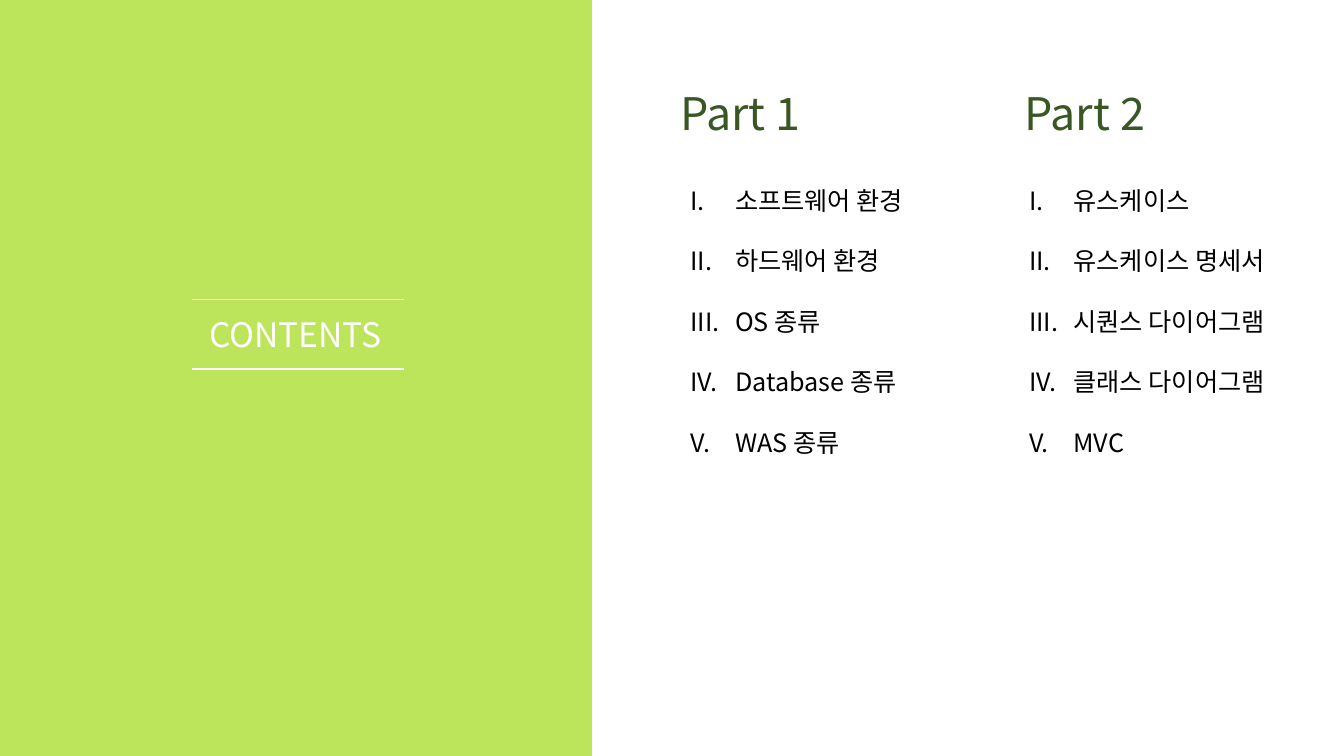
from lxml import etree
from pptx import Presentation
from pptx import util as u
from pptx.dml.color import RGBColor
from pptx.enum import shapes, text
from pptx.oxml.ns import qn

FONT = "Noto Sans CJK KR"
LIME, GREEN, WHITE, BLACK = "BCE55C", "385723", "FFFFFF", "000000"
INDENT = u.Cm(1.12)
COMPARISON_LAYOUT = 4
PART_1 = ["소프트웨어 환경", "하드웨어 환경", "OS 종류", "Database 종류", "WAS 종류"]
PART_2 = ["유스케이스", "유스케이스 명세서", "시퀀스 다이어그램", "클래스 다이어그램", "MVC"]


def color(hex_string):
    return RGBColor.from_string(hex_string)


def place(shape, left, top, width, height):
    """Position a shape; lengths are in centimetres."""
    shape.left, shape.top = u.Cm(left), u.Cm(top)
    shape.width, shape.height = u.Cm(width), u.Cm(height)


def number_roman(paragraph):
    properties = paragraph._p.get_or_add_pPr()
    properties.set("marL", str(INDENT))
    properties.set("indent", str(-INDENT))
    etree.SubElement(properties, qn("a:buFont"), typeface="+mj-lt")
    etree.SubElement(properties, qn("a:buAutoNum"), type="romanUcPeriod")


def write(shape, lines, size, fill, align=text.PP_ALIGN.CENTER, spacing=1.0,
          anchor=text.MSO_ANCHOR.TOP, numbered=False):
    frame = shape.text_frame
    frame.text = "\n".join(lines)
    frame.word_wrap = True
    frame.auto_size = text.MSO_AUTO_SIZE.NONE
    frame.vertical_anchor = anchor
    for paragraph in frame.paragraphs:
        paragraph.alignment = align
        paragraph.line_spacing = spacing
        paragraph.space_before = u.Pt(0)
        if numbered:
            number_roman(paragraph)
        for run in paragraph.runs:
            font = run.font
            font.name, font.size, font.bold = FONT, u.Pt(size), False
            font.color.rgb = color(fill)
            etree.SubElement(run._r.get_or_add_rPr(), qn("a:ea"), typeface=FONT)


def add_panel(slide, width, height, fill):
    """Add a plain rectangle behind everything else."""
    panel = slide.shapes.add_shape(shapes.MSO_SHAPE.RECTANGLE, 0, 0, width, height)
    panel.shadow.inherit = False
    panel.fill.solid()
    panel.fill.fore_color.rgb = color(fill)
    panel.line.fill.background()
    panel._element.getparent().insert(2, panel._element)


def add_rule(slide, left, right, top):
    rule = slide.shapes.add_connector(
        shapes.MSO_CONNECTOR.STRAIGHT, u.Cm(left), u.Cm(top), u.Cm(right), u.Cm(top))
    rule.line.color.rgb = color(WHITE)
    rule.line.width = u.Pt(1)
    etree.SubElement(rule._element.spPr, qn("a:effectLst"))


def fill_part(heading, body, name, items, heading_left, body_left):
    place(heading, heading_left, 2.03, 3.58, 1.63)
    write(heading, [name], 32, GREEN)
    place(body, body_left, 3.78, 6.99, 7.8)
    write(body, items, 18, BLACK, align=text.PP_ALIGN.LEFT, spacing=2.0, numbered=True)


def main():
    presentation = Presentation()
    presentation.slide_width, presentation.slide_height = u.Cm(33.87), u.Cm(19.05)
    slide = presentation.slides.add_slide(presentation.slide_layouts[COMPARISON_LAYOUT])
    title, heading_1, body_1, heading_2, body_2 = slide.placeholders

    add_panel(slide, u.Cm(14.92), presentation.slide_height, LIME)
    place(title, 4.34, 7.77, 6.2, 1.28)
    write(title, ["CONTENTS"], 24, WHITE, anchor=text.MSO_ANCHOR.MIDDLE)
    for top in (7.54, 9.3):
        add_rule(slide, 4.83, 10.19, top)

    fill_part(heading_1, body_1, "Part 1", PART_1, 16.87, 17.15)
    fill_part(heading_2, body_2, "Part 2", PART_2, 25.55, 25.68)
    presentation.save("out.pptx")


if __name__ == "__main__":
    main()
